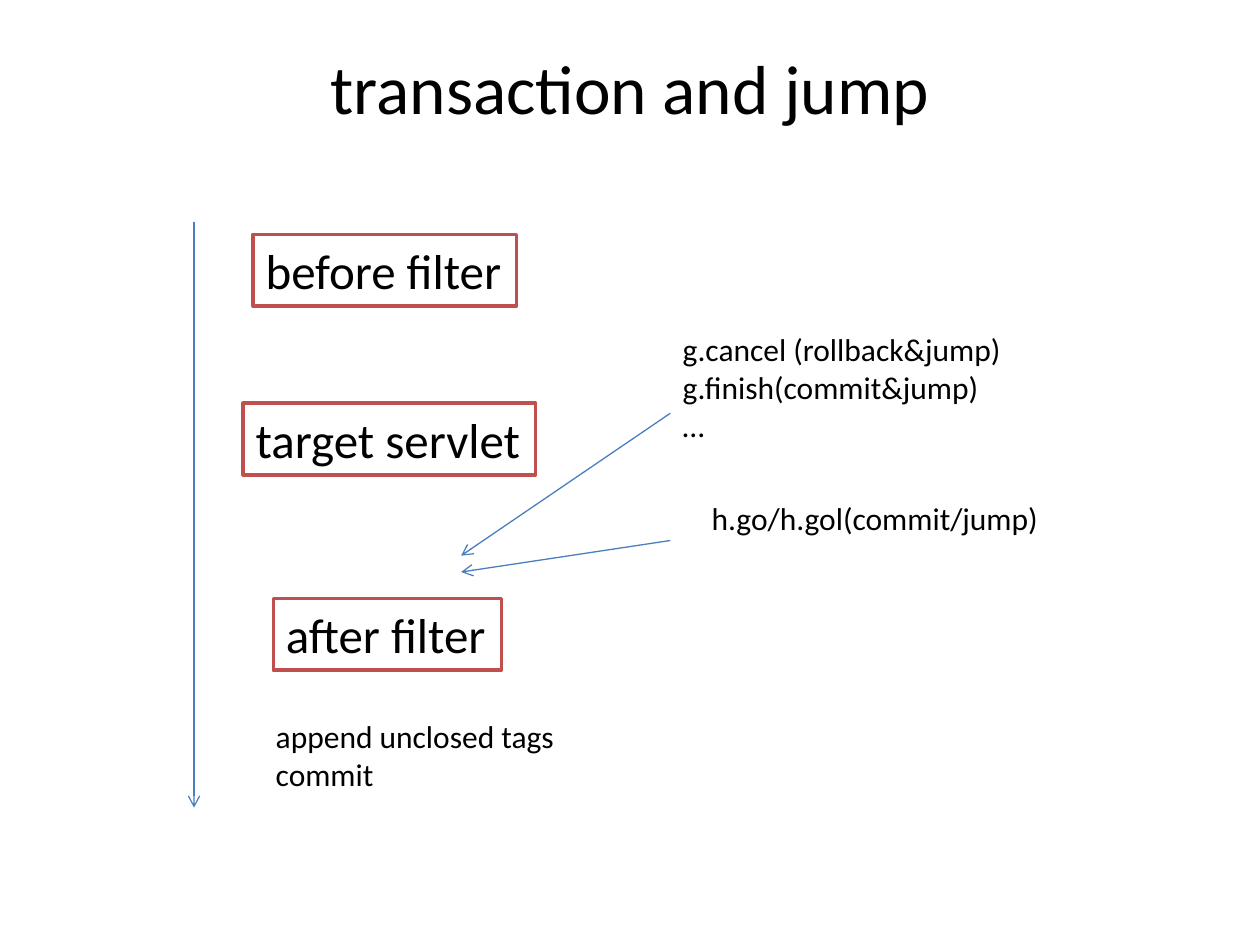
from lxml.etree import SubElement
from pptx import Presentation
from pptx.dml.color import RGBColor
from pptx.enum.shapes import MSO_CONNECTOR, MSO_SHAPE
from pptx.enum.text import MSO_ANCHOR, MSO_AUTO_SIZE, PP_ALIGN
from pptx.oxml.ns import qn
from pptx.util import Inches, Pt


def color(code):
    return RGBColor.from_string(code)


def write(shape, lines, size, align=PP_ALIGN.LEFT):
    frame = shape.text_frame
    frame.text = "\n".join(lines)
    frame.vertical_anchor = MSO_ANCHOR.TOP
    for para in frame.paragraphs:
        para.alignment = align
        para.font.name = "Calibri"
        para.font.size = Pt(size)
        para.font.color.rgb = color("000000")


deck = Presentation()
deck.slide_width, deck.slide_height = Inches(10), Inches(7.5)
slide = deck.slides.add_slide(deck.slide_layouts[5])
shapes = slide.shapes

# Title
title = shapes.title
title.left, title.top = Inches(0.5), Inches(0.3)
title.width, title.height = Inches(9), Inches(0.77)
write(title, ["transaction and jump"], 39.6, PP_ALIGN.CENTER)
title.text_frame.vertical_anchor = MSO_ANCHOR.MIDDLE

# Filter and servlet steps
steps = [
    ("before filter", 2.01, 1.86, 2.09),
    ("target servlet", 1.93, 3.2, 2.32),
    ("after filter", 2.17, 4.75, 1.81),
]
for text, left, top, width in steps:
    box = shapes.add_shape(MSO_SHAPE.RECTANGLE, Inches(left), Inches(top),
                           Inches(width), Inches(0.57))
    box.shadow.inherit = False
    box.fill.solid()
    box.fill.fore_color.rgb = color("FFFFFF")
    box.line.color.rgb = color("C0504D")
    box.line.width = Pt(2)
    write(box, [text], 28)
    box.text_frame.word_wrap = False
    box.text_frame.auto_size = MSO_AUTO_SIZE.SHAPE_TO_FIT_TEXT

# Notes beside the steps
notes = [
    (["append unclosed tags", "commit"], 2.09, 5.64, 2.44, 0.71),
    (["g.cancel (rollback&jump)", "g.finish(commit&jump)", "…"],
     5.32, 2.57, 2.75, 1.01),
    (["h.go/h.gol(commit/jump)"], 5.55, 3.91, 2.82, 0.4),
]
for lines, left, top, width, height in notes:
    note = shapes.add_textbox(Inches(left), Inches(top),
                              Inches(width), Inches(height))
    write(note, lines, 18)
    note.text_frame.word_wrap = False
    note.text_frame.auto_size = MSO_AUTO_SIZE.SHAPE_TO_FIT_TEXT

# Time line and jump arrows
arrows = [
    (1.54, 1.76, 1.54, 6.41),
    (5.32, 3.28, 3.66, 4.41),
    (5.32, 4.29, 3.66, 4.54),
]
for ends in arrows:
    arrow = shapes.add_connector(MSO_CONNECTOR.STRAIGHT, *map(Inches, ends))
    arrow.line.color.rgb = color("4B7EBC")
    arrow.line.width = Pt(0.75)
    SubElement(arrow.line._get_or_add_ln(), qn("a:tailEnd"), type="arrow")
    SubElement(arrow._element.spPr, qn("a:effectLst"))

deck.save("out.pptx")
